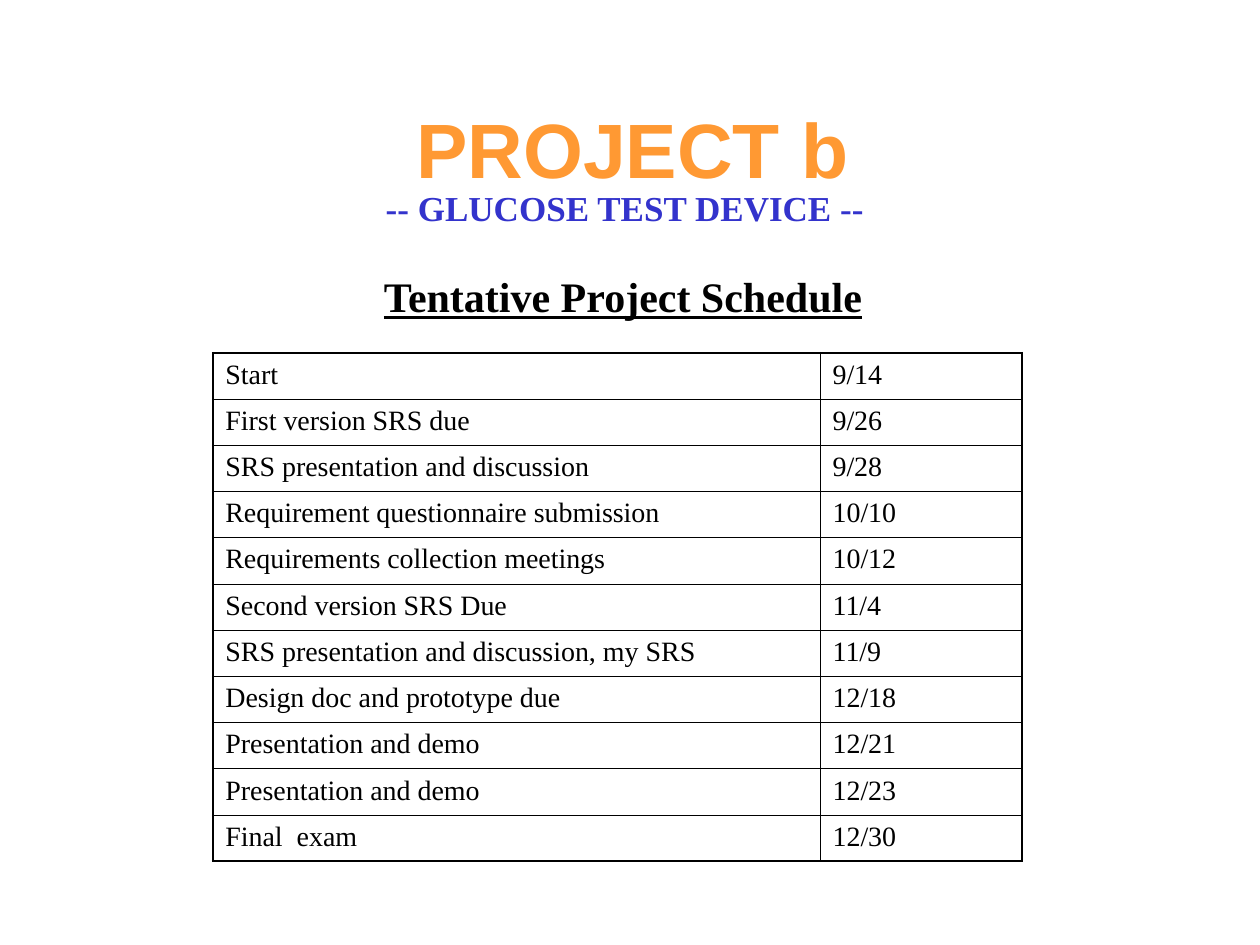
"""Build the project schedule slide."""
from dataclasses import dataclass

from lxml import etree
from pptx import Presentation
from pptx.dml.color import RGBColor
from pptx.enum import text as t
from pptx.oxml import ns
from pptx.util import Cm, Pt


@dataclass(frozen=True)
class Theme:
    sans: str = "Arial"
    serif: str = "Times New Roman"
    black: str = "000000"
    orange: str = "FF9933"
    blue: str = "3333CC"
    title: int = 44
    head: int = 24
    sub: int = 20
    body: int = 16
    thick: float = 1.08
    thin: float = 0.45


@dataclass(frozen=True)
class Style:
    font: str
    size: int
    color: str
    bold: bool = True
    line: bool = False
    shade: bool = False


@dataclass(frozen=True)
class Label:
    words: str
    left: float
    top: float
    width: float
    height: float
    style: Style
    align: t.PP_ALIGN = t.PP_ALIGN.CENTER
    inset: float = 0.13


@dataclass(frozen=True)
class Event:
    name: str
    date: str


THEME = Theme()
BODY = Style(THEME.serif, THEME.body, THEME.black, bold=False)
LABELS = [
    Label("PROJECT b", 1.96, 1.75, 21.59, 1.88,
          Style(THEME.sans, THEME.title, THEME.orange, shade=True), inset=0.3),
    Label("-- GLUCOSE TEST DEVICE --", 7.49, 3.63, 10.21, 1.12,
          Style(THEME.serif, THEME.sub, THEME.blue)),
    Label("Tentative Project Schedule", 7.49, 5.33, 10.59, 1.27,
          Style(THEME.serif, THEME.head, THEME.black, line=True),
          t.PP_ALIGN.LEFT),
]
EVENTS = [
    Event("Start", "9/14"),
    Event("First version SRS due", "9/26"),
    Event("SRS presentation and discussion", "9/28"),
    Event("Requirement questionnaire submission", "10/10"),
    Event("Requirements collection meetings", "10/12"),
    Event("Second version SRS Due", "11/4"),
    Event("SRS presentation and discussion, my SRS", "11/9"),
    Event("Design doc and prototype due", "12/18"),
    Event("Presentation and demo", "12/21"),
    Event("Presentation and demo", "12/23"),
    Event("Final  exam", "12/30"),
]
COLS = (12.24, 4.07)
ROW = 0.93


def add_run(para, words: str, style: Style) -> None:
    run = para.add_run()
    run.text = words
    font = run.font
    font.name = style.font
    font.size = Pt(style.size)
    font.bold = style.bold
    font.underline = style.line
    font.color.rgb = RGBColor.from_string(style.color)
    if style.shade:
        fill = run._r.rPr.find(ns.qn("a:solidFill"))
        glow = etree.Element(ns.qn("a:effectLst"))
        cast = etree.SubElement(glow, ns.qn("a:outerShdw"),
                                dist="25400", dir="2700000")
        etree.SubElement(cast, ns.qn("a:srgbClr"), val=THEME.black)
        fill.addnext(glow)


def add_label(slide, label: Label) -> None:
    box = slide.shapes.add_textbox(Cm(label.left), Cm(label.top),
                                   Cm(label.width), Cm(label.height))
    frame = box.text_frame
    frame.word_wrap = True
    frame.margin_top = Cm(label.inset)
    para = frame.paragraphs[0]
    para.alignment = label.align
    add_run(para, label.words, label.style)


def add_edge(cell, side: str, width: float) -> None:
    props = cell._tc.get_or_add_tcPr()
    edge = etree.SubElement(props, ns.qn(f"a:ln{side}"), w=str(Pt(width)))
    fill = etree.SubElement(edge, ns.qn("a:solidFill"))
    etree.SubElement(fill, ns.qn("a:srgbClr"), val=THEME.black)


def add_table(slide, events: list[Event]) -> None:
    count = len(events)
    grid = slide.shapes.add_table(count, len(COLS), Cm(4.29), Cm(7.11),
                                  Cm(sum(COLS)), Cm(ROW * count)).table
    grid.first_row = grid.horz_banding = False
    for col, width in zip(grid.columns, COLS):
        col.width = Cm(width)
    for y, event in enumerate(events):
        grid.rows[y].height = Cm(ROW)
        for x, words in enumerate((event.name, event.date)):
            cell = grid.cell(y, x)
            add_run(cell.text_frame.paragraphs[0], words, BODY)
            outer = {"L": x == 0, "R": x == len(COLS) - 1,
                     "T": y == 0, "B": y == count - 1}
            for side, edge in outer.items():
                add_edge(cell, side, THEME.thick if edge else THEME.thin)
            cell.fill.background()


def main() -> None:
    deck = Presentation()
    deck.slide_width, deck.slide_height = Cm(25.4), Cm(19.05)
    slide = deck.slides.add_slide(deck.slide_layouts[6])
    for label in LABELS:
        add_label(slide, label)
    add_table(slide, EVENTS)
    deck.save("out.pptx")


if __name__ == "__main__":
    main()
